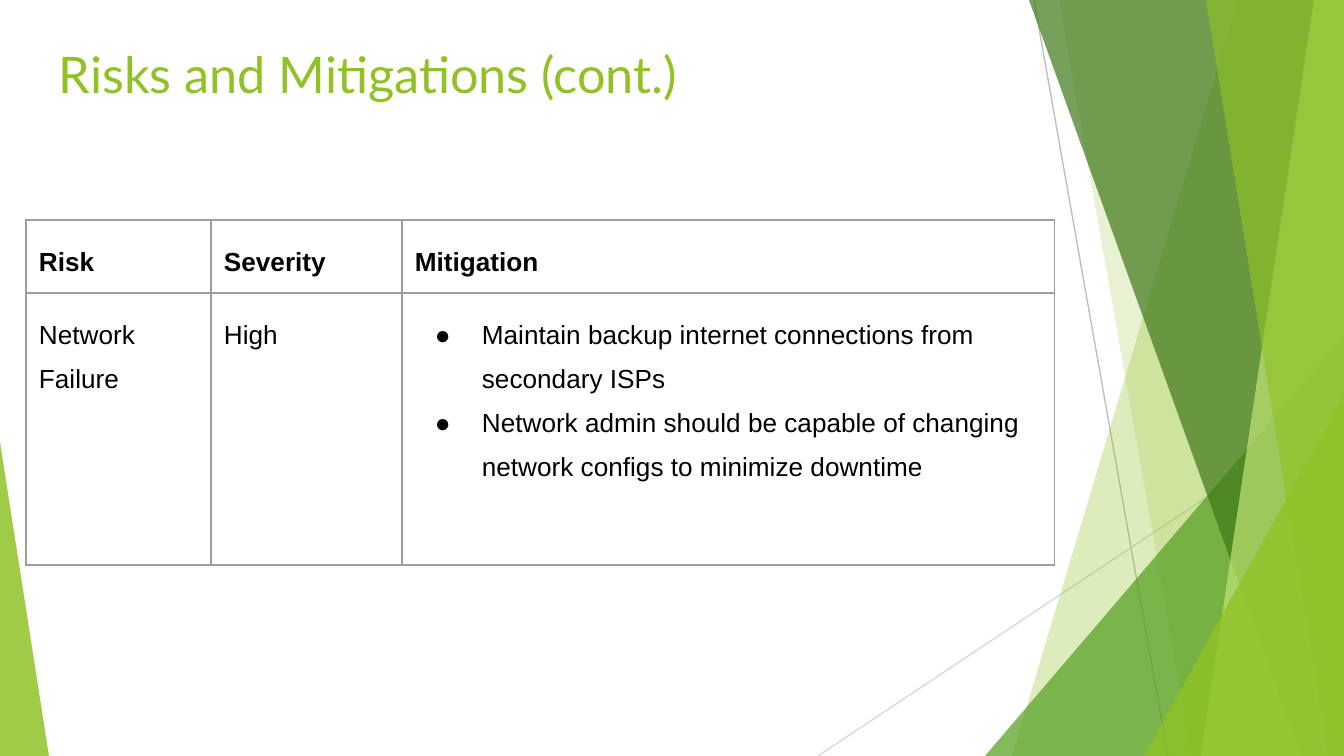
"""Builds the "Risks and Mitigations (cont.)" slide with its green facets and risk table."""
import pptx
import pptx.dml.color
import pptx.enum.shapes
import pptx.enum.text
import pptx.oxml
import pptx.oxml.ns
import pptx.util

RGB = pptx.dml.color.RGBColor
LIME = RGB(0x90, 0xC2, 0x26)
GREEN = RGB(0x54, 0xA0, 0x21)
DARK = RGB(0x3F, 0x78, 0x19)
PALE = RGB(0xC0, 0xE4, 0x74)
BLACK = RGB(0x00, 0x00, 0x00)
GREY = RGB(0xBF, 0xBF, 0xBF)
LIGHT_GREY = RGB(0xD9, 0xD9, 0xD9)
BORDER = RGB(0x9E, 0x9E, 0x9E)
SCALE = 914400 / 134.4
W, H = 1344, 756


def px(n):
    return pptx.util.Emu(round(n * SCALE))


def add_xml(parent, xml):
    ns = pptx.oxml.ns.nsdecls("a")
    parent.append(pptx.oxml.parse_xml(xml.replace("NS", ns, 1)))


prs = pptx.Presentation()
prs.slide_width, prs.slide_height = px(W), px(H)
s = prs.slides.add_slide(prs.slide_layouts[6])

for x1, y1, x2, y2, color in [(1034, 0, 1168, H, GREY), (W, 406, 818, H, LIGHT_GREY)]:
    cx = s.shapes.add_connector(
        pptx.enum.shapes.MSO_CONNECTOR.STRAIGHT, px(x1), px(y1), px(x2), px(y2))
    cx.line.color.rgb = color
    cx.line.width = pptx.util.Pt(0.75)
    add_xml(cx._element.spPr, "<a:effectLst NS/>")

facets = [
    ("edge", 1238, 1012, LIME, 30),
    ("edge", 1059, 1192, LIME, 20),
    ("triangle", (985, 336, W, H), 1, GREEN, 72),
    ("edge", 1029, 1301, DARK, 70),
    ("edge", 1314, 1201, PALE, 70),
    ("edge", 1206, 1328, LIME, 65),
    ("triangle", (1144, 395, W, H), 1, LIME, 80),
    ("triangle", (0, 442, 49, H), 0, LIME, 85),
]
for kind, a, b, color, alpha in facets:
    if kind == "edge":
        fb = s.shapes.build_freeform(a, 0, scale=SCALE)
        fb.add_line_segments([(W, 0), (W, H), (b, H)], close=True)
        sp = fb.convert_to_shape()
    else:
        left, top, right, bottom = a
        sp = s.shapes.add_shape(
            pptx.enum.shapes.MSO_SHAPE.ISOSCELES_TRIANGLE,
            px(left), px(top), px(right - left), px(bottom - top))
        sp.adjustments[0] = b
    sp.shadow.inherit = False
    sp.line.fill.background()
    sp.fill.solid()
    sp.fill.fore_color.rgb = color
    clr = sp._element.spPr.find(".//" + pptx.oxml.ns.qn("a:srgbClr"))
    add_xml(clr, f'<a:alpha NS val="{alpha * 1000}"/>')

tf = s.shapes.add_textbox(px(46), px(30), px(1253), px(102)).text_frame
tf.word_wrap = True
tf.margin_left = tf.margin_right = tf.margin_top = tf.margin_bottom = px(13)
tf.text = "Risks and Mitigations (cont.)"
font = tf.paragraphs[0].runs[0].font
font.name, font.size = "Lato", pptx.util.Pt(27)
font.color.rgb = LIME

rows = [
    ["Risk", "Severity", "Mitigation"],
    ["Network Failure", "High",
     "Maintain backup internet connections from secondary ISPs\n"
     "Network admin should be capable of changing network configs to minimize downtime"],
]
widths, heights = [185, 191, 653], [73, 272]
table = s.shapes.add_table(
    2, 3, px(26), px(220), px(sum(widths)), px(sum(heights))).table
table.first_row = table.horz_banding = False
for col, width in zip(table.columns, widths):
    col.width = px(width)
for row, height in zip(table.rows, heights):
    row.height = px(height)

for i, texts in enumerate(rows):
    for j, text in enumerate(texts):
        cell = table.cell(i, j)
        cell.margin_left = cell.margin_right = px(13)
        cell.margin_top = cell.margin_bottom = px(13)
        cell.vertical_anchor = pptx.enum.text.MSO_ANCHOR.TOP
        for side in "LRTB":
            add_xml(cell._tc.get_or_add_tcPr(),
                    f'<a:ln{side} NS w="9525"><a:solidFill><a:srgbClr val="{BORDER}"/>'
                    f'</a:solidFill></a:ln{side}>')
        cell.fill.background()
        cell.text_frame.text = text
        for p in cell.text_frame.paragraphs:
            p.line_spacing = 1.5
            font = p.runs[0].font
            font.name, font.size, font.bold = "Arial", pptx.util.Pt(14), i == 0
            font.color.rgb = BLACK
            if (i, j) == (1, 2):
                pPr = p._p.get_or_add_pPr()
                pPr.set("marL", str(px(67)))
                pPr.set("indent", str(px(-47)))
                add_xml(pPr, f'<a:buClr NS><a:srgbClr val="{BLACK}"/></a:buClr>')
                add_xml(pPr, '<a:buFont NS typeface="Arial"/>')
                add_xml(pPr, '<a:buChar NS char="●"/>')

prs.save("out.pptx")
